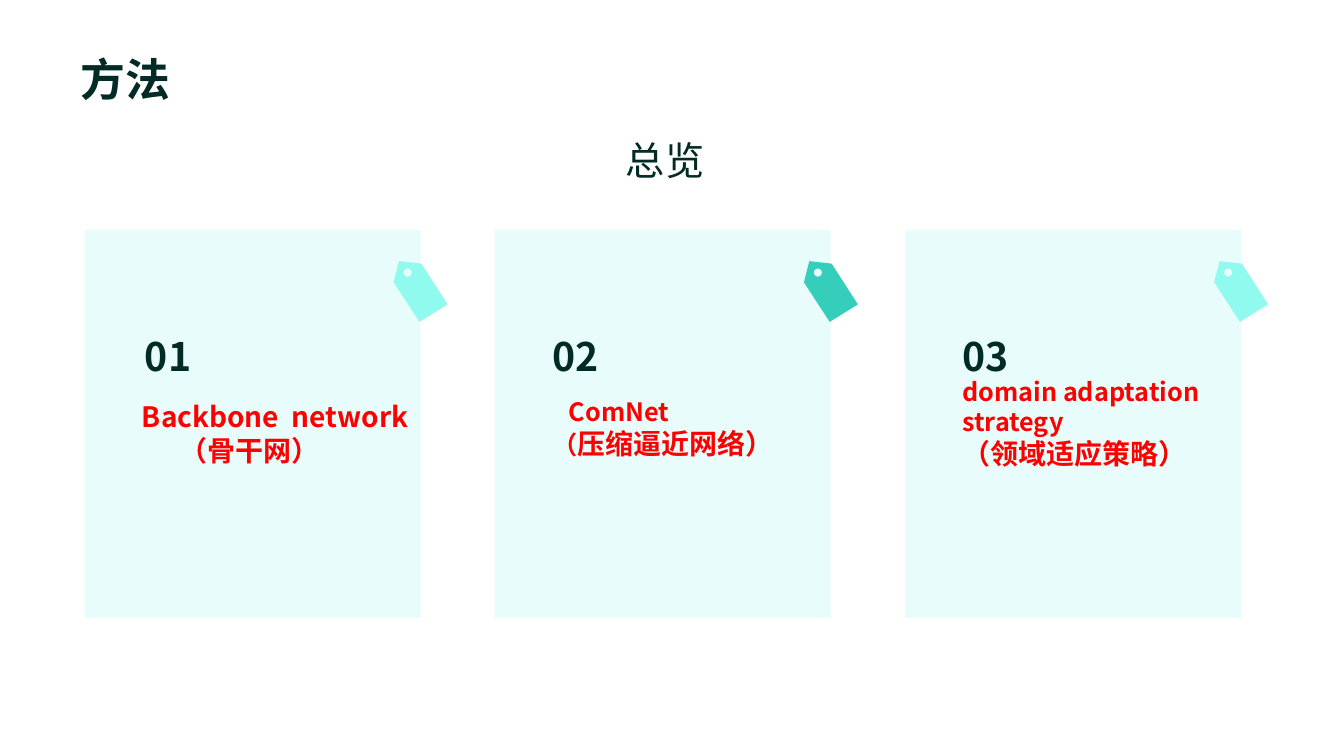
import math
from dataclasses import dataclass

from lxml import etree
from pptx import Presentation
from pptx.dml.color import RGBColor
from pptx.enum import shapes, text
from pptx.oxml import ns
from pptx.util import Pt


@dataclass(frozen=True)
class Theme:
    font: str = "Noto Sans CJK SC"
    ink: str = "022A26"
    accent: str = "FF0000"
    card: str = "21F4DF"
    card_alpha: int = 10
    tag_light: str = "90FAEF"
    tag_dark: str = "35CEBA"
    title: int = 32
    heading: int = 28
    label: int = 20
    small_label: int = 18


THEME = Theme()

CARD_LEFT, CARD_TOP, CARD_PITCH = 60.5, 164.2, 293.04
CARD_WIDTH, CARD_HEIGHT = 239.8, 277.2
TEXT_INSET = 33.8
TAG_INSET, TAG_TOP, TAG_ROTATION = 219.6, 188.7, 12
TAG_OUTLINE = [(0.6, 1.6), (16.6, 0), (41, 24.6), (23.9, 41), (0, 17.2)]
HOLE_CENTER, HOLE_RADIUS, HOLE_SIDES = 8.3, 2.9, 24


def add_text(parent, box, paragraphs, size, color=THEME.ink, bold=True,
             anchor=text.MSO_ANCHOR.MIDDLE, wrap=True, line_spacing=None):
    """Each paragraph is (left indent, runs); each run is (text, size or None, tracking)."""
    frame = parent.add_textbox(*map(Pt, box)).text_frame
    frame.word_wrap = wrap
    frame.vertical_anchor = anchor
    for index, (indent, runs) in enumerate(paragraphs):
        paragraph = frame.add_paragraph() if index else frame.paragraphs[0]
        if indent:
            paragraph._p.get_or_add_pPr().set("marL", str(Pt(indent)))
        if line_spacing:
            paragraph.line_spacing = line_spacing
        for words, run_size, tracking in runs:
            run = paragraph.add_run()
            run.text = words
            run.font.size = Pt(run_size or size)
            run.font.bold = bold
            run.font.name = THEME.font
            run.font.color.rgb = RGBColor.from_string(color)
            properties = run._r.get_or_add_rPr()
            east_asian = etree.SubElement(properties, ns.qn("a:ea"))
            east_asian.set("typeface", THEME.font)
            if tracking:
                properties.set("spc", str(round(tracking * 100)))


def line(words, indent=0):
    return indent, [(words, None, 0)]


def paint(shape, color, alpha=None):
    shape.shadow.inherit = False
    shape.line.fill.background()
    shape.fill.solid()
    shape.fill.fore_color.rgb = RGBColor.from_string(color)
    if alpha is not None:
        swatch = shape.fill._xPr.find(".//" + ns.qn("a:srgbClr"))
        etree.SubElement(swatch, ns.qn("a:alpha")).set("val", str(alpha * 1000))


def add_tag(parent, left, color):
    """A tilted label with a round hole cut out of it."""
    hole = []
    for step in range(HOLE_SIDES):
        angle = -2 * math.pi * step / HOLE_SIDES
        hole.append((HOLE_CENTER + HOLE_RADIUS * math.cos(angle),
                     HOLE_CENTER + HOLE_RADIUS * math.sin(angle)))
    outline, hole = ([(Pt(x), Pt(y)) for x, y in points]
                     for points in (TAG_OUTLINE, hole))
    builder = parent.build_freeform(*outline[0])
    builder.add_line_segments(outline[1:], close=True)
    builder.move_to(*hole[0])
    builder.add_line_segments(hole[1:], close=True)
    tag = builder.convert_to_shape(Pt(left), Pt(TAG_TOP))
    tag.rotation = TAG_ROTATION
    paint(tag, color)


def add_card(slide, index, tag_color, number_inset, label_box, label_size, label):
    """label_box is the top, width and height of the label."""
    left = CARD_LEFT + index * CARD_PITCH
    card = slide.shapes.add_group_shape().shapes
    panel = card.add_shape(shapes.MSO_SHAPE.RECTANGLE, Pt(left), Pt(CARD_TOP),
                           Pt(CARD_WIDTH), Pt(CARD_HEIGHT))
    paint(panel, THEME.card, THEME.card_alpha)
    add_tag(card, left + TAG_INSET, tag_color)
    top, width, height = label_box
    add_text(card, (left + TEXT_INSET, top, width, height), label,
             size=label_size, color=THEME.accent)
    add_text(card, (left + number_inset, 234, 184.3, 41),
             [line(f"{index + 1:02}")], size=THEME.heading)


def main():
    deck = Presentation()
    deck.slide_width, deck.slide_height = Pt(960), Pt(540)
    slide = deck.slides.add_slide(deck.slide_layouts[6])

    add_text(slide.shapes, (50.4, -23, 414, 102.2), [line("方法")],
             size=THEME.title, anchor=text.MSO_ANCHOR.BOTTOM, line_spacing=1.2)

    backbone = [(0, [("Backbone", None, 0), (" ", None, 4.5), ("network", None, 0)]),
                line("（骨干网）", indent=27)]
    comnet = [line("ComNet", indent=12),
              (0, [("（", None, 0), ("压缩逼近网络）", THEME.label, 0)])]
    adaptation = [line("domain adaptation strategy"),
                  (0, [("（领域适应策略）", THEME.label, 0)])]
    cards = [
        (THEME.tag_light, 36, (282.2, 206, 54.4), THEME.label, backbone),
        (THEME.tag_dark, TEXT_INSET, (279.4, 184.3, 53.3), THEME.small_label, comnet),
        (THEME.tag_light, TEXT_INSET, (265, 201.6, 74.9), THEME.small_label, adaptation),
    ]
    for index, card in enumerate(cards):
        add_card(slide, index, *card)

    add_text(slide.shapes, (440, 93.6, 71.3, 41), [line("总览")], size=THEME.heading,
             bold=False, anchor=text.MSO_ANCHOR.TOP, wrap=False)
    deck.save("out.pptx")


if __name__ == "__main__":
    main()
